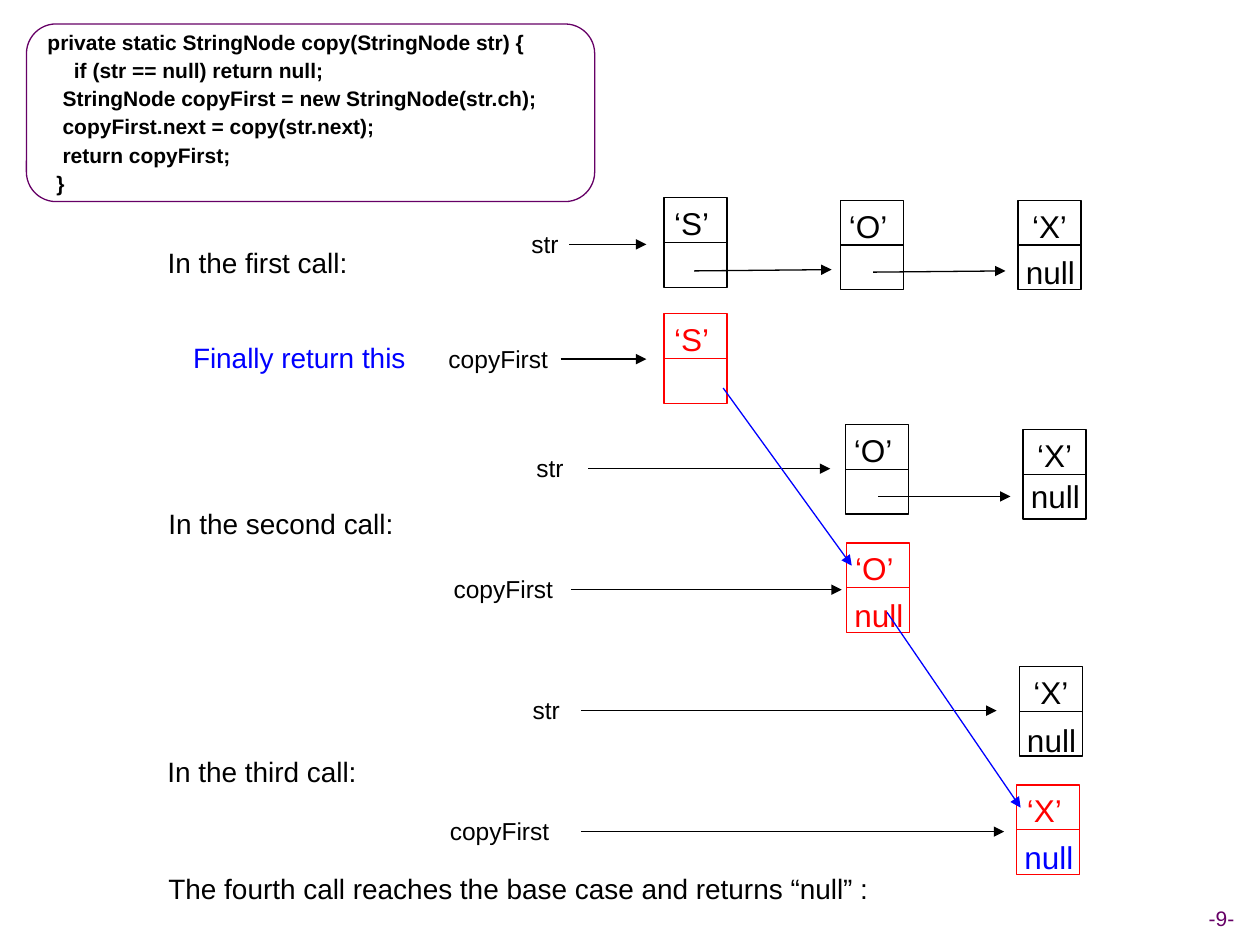
from lxml import etree
from pptx import Presentation
from pptx.dml.color import RGBColor
from pptx.enum import shapes, text
from pptx.oxml.ns import qn
from pptx.util import Inches, Pt

THEME = {
    "font": "Arial",
    "black": RGBColor(0, 0, 0),
    "red": RGBColor(0xFF, 0, 0),
    "blue": RGBColor(0, 0, 0xFF),
    "purple": RGBColor(0x66, 0, 0x66),
    "code": Pt(12),
    "label": Pt(14),
    "note": Pt(16),
    "node": Pt(18),
    "line": Pt(0.75),
}

prs = Presentation()
prs.slide_width, prs.slide_height = Inches(10), Inches(7.5)
s = prs.slides.add_slide(prs.slide_layouts[6])


def add_line(x1, y1, x2, y2, color, arrow=True):
    c = s.shapes.add_connector(shapes.MSO_CONNECTOR.STRAIGHT,
                               Inches(x1), Inches(y1), Inches(x2), Inches(y2))
    c.line.color.rgb = THEME[color]
    c.line.width = THEME["line"]
    pr = c._element.spPr
    if arrow:
        etree.SubElement(pr.find(qn("a:ln")), qn("a:tailEnd"), type="triangle")
    etree.SubElement(pr, qn("a:effectLst"))
    return c


def add_label(x, y, w, h, words, size, color):
    """Add one centred line of text that never wraps."""
    tb = s.shapes.add_textbox(Inches(x), Inches(y), Inches(w), Inches(h))
    tf = tb.text_frame
    tf.word_wrap = False
    tf.auto_size = text.MSO_AUTO_SIZE.SHAPE_TO_FIT_TEXT
    tf.margin_left = tf.margin_right = 0
    p = tf.paragraphs[0]
    p.text = words
    p.alignment = text.PP_ALIGN.CENTER
    p.font.name, p.font.size = THEME["font"], THEME[size]
    p.font.color.rgb = THEME[color]


# Code panel: each line with its left indent
code = [
    ("private static StringNode copy(StringNode str) {", 0),
    ("if (str == null) return null;", 0.21),
    ("StringNode copyFirst = new StringNode(str.ch);", 0.12),
    ("copyFirst.next = copy(str.next);", 0.12),
    ("return copyFirst;", 0.12),
    ("}", 0.07),
]
panel = s.shapes.add_shape(shapes.MSO_SHAPE.ROUNDED_RECTANGLE,
                           Inches(0.21), Inches(0.19), Inches(4.51), Inches(1.41))
panel.shadow.inherit = False
panel.fill.background()
panel.line.color.rgb = THEME["purple"]
panel.line.width = THEME["line"]
tf = panel.text_frame
tf.word_wrap = True
tf.margin_top, tf.margin_bottom = 0, Inches(0.03)
tf.vertical_anchor = text.MSO_ANCHOR.MIDDLE
for i, (words, indent) in enumerate(code):
    p = tf.paragraphs[0] if i == 0 else tf.add_paragraph()
    p.text = words
    p.alignment = text.PP_ALIGN.LEFT
    p.line_spacing = Pt(16.1)
    p.font.name, p.font.size, p.font.bold = THEME["font"], THEME["code"], True
    p.font.color.rgb = THEME["black"]
    p._p.get_or_add_pPr().set("marL", str(Inches(indent)))

# List nodes: left, top, letter, colour, top and colour of "null" (if any)
NODE_W, NODE_H = 0.5, 0.71
nodes = [
    (5.27, 1.57, "‘S’ ", "black", None, None),
    (6.67, 1.59, "‘O’ ", "black", None, None),
    (8.08, 1.59, "‘X’", "black", 1.96, "black"),
    (5.27, 2.49, "‘S’ ", "red", None, None),
    (6.71, 3.37, "‘O’ ", "black", None, None),
    (8.12, 3.41, "‘X’", "black", 3.74, "black"),
    (6.72, 4.31, "‘O’ ", "red", 4.68, "red"),
    (8.09, 5.29, "‘X’", "black", 5.67, "black"),
    (8.07, 6.23, "‘X’ ", "red", 6.6, "blue"),
]
for x, y, letter, color, null_y, null_color in nodes:
    sp = s.shapes.add_shape(shapes.MSO_SHAPE.RECTANGLE,
                            Inches(x), Inches(y), Inches(NODE_W), Inches(NODE_H))
    sp.shadow.inherit = False
    sp.fill.background()
    sp.line.color.rgb = THEME[color]
    sp.line.width = THEME["line"]
    tf = sp.text_frame
    tf.word_wrap = False
    tf.vertical_anchor = text.MSO_ANCHOR.TOP
    p = tf.paragraphs[0]
    p.text = letter
    p.alignment = text.PP_ALIGN.CENTER
    p.font.name, p.font.size = THEME["font"], THEME["node"]
    p.font.color.rgb = THEME[color]
    middle = y + NODE_H / 2
    divider = add_line(x, middle, x + NODE_W, middle, color, arrow=False)
    divider.begin_connect(sp, 1)
    divider.end_connect(sp, 3)
    if null_y:
        add_label(x - 0.04, null_y, 0.59, 0.4, "null", "node", null_color)

# Variables pointing at nodes: label left, label width, name, arrow start, arrow end, arrow y
variables = [
    (4.12, 0.41, "str", 4.52, 5.13, 1.94),
    (3.46, 0.99, "copyFirst", 4.45, 5.13, 2.85),
    (4.16, 0.41, "str", 4.67, 6.59, 3.72),
    (3.5, 0.99, "copyFirst", 4.53, 6.68, 4.68),
    (4.13, 0.41, "str", 4.61, 7.91, 5.64),
    (3.47, 0.99, "copyFirst", 4.61, 7.97, 6.6),
]
for x, w, name, start, end, y in variables:
    add_label(x, y - 0.17, w, 0.34, name, "label", "black")
    add_line(start, y, end, y, "black")

# Links from one node to the next
links = [
    (5.51, 2.15, 6.6, 2.14, "black"),
    (6.93, 2.16, 7.98, 2.15, "black"),
    (6.97, 3.94, 8.02, 3.94, "black"),
    (7.04, 4.86, 8.1, 6.41, "blue"),
    (5.74, 3.08, 6.76, 4.49, "blue"),
]
for link in links:
    add_line(*link)

notes = [
    (1.23, 1.9, 1.63, "In the first call:", "black"),
    (1.37, 2.65, 1.95, " Finally return this", "blue"),
    (1.24, 3.97, 1.98, "In the second call:", "black"),
    (1.23, 5.94, 1.7, "In the third call:", "black"),
    (1.24, 6.87, 5.75, "The fourth call reaches the base case and returns “null” :", "black"),
]
for x, y, w, words, color in notes:
    add_label(x, y, w, 0.37, words, "note", color)

add_label(9.16, 7.14, 1.07, 0.3, "-9-", "code", "purple")

prs.save("out.pptx")
